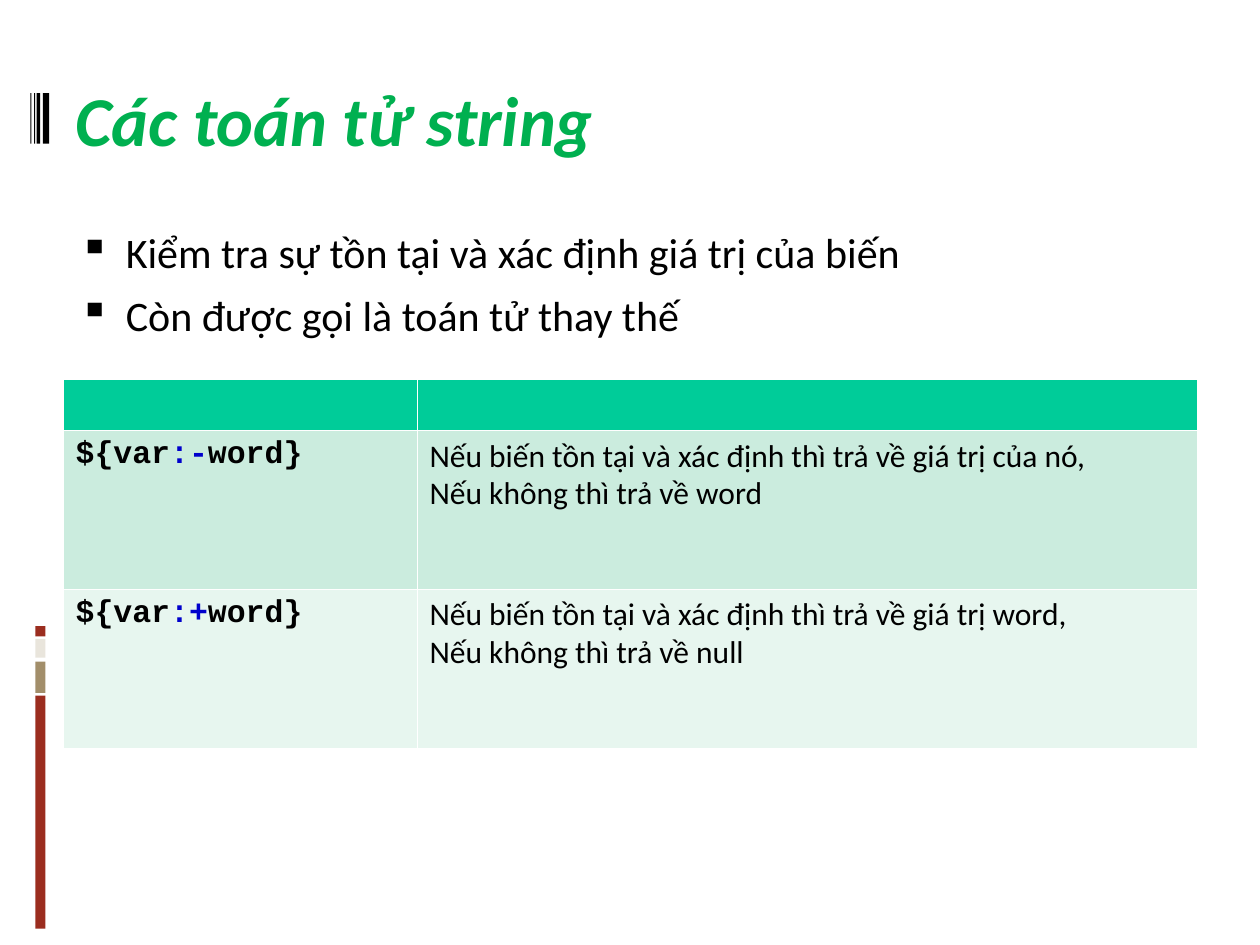
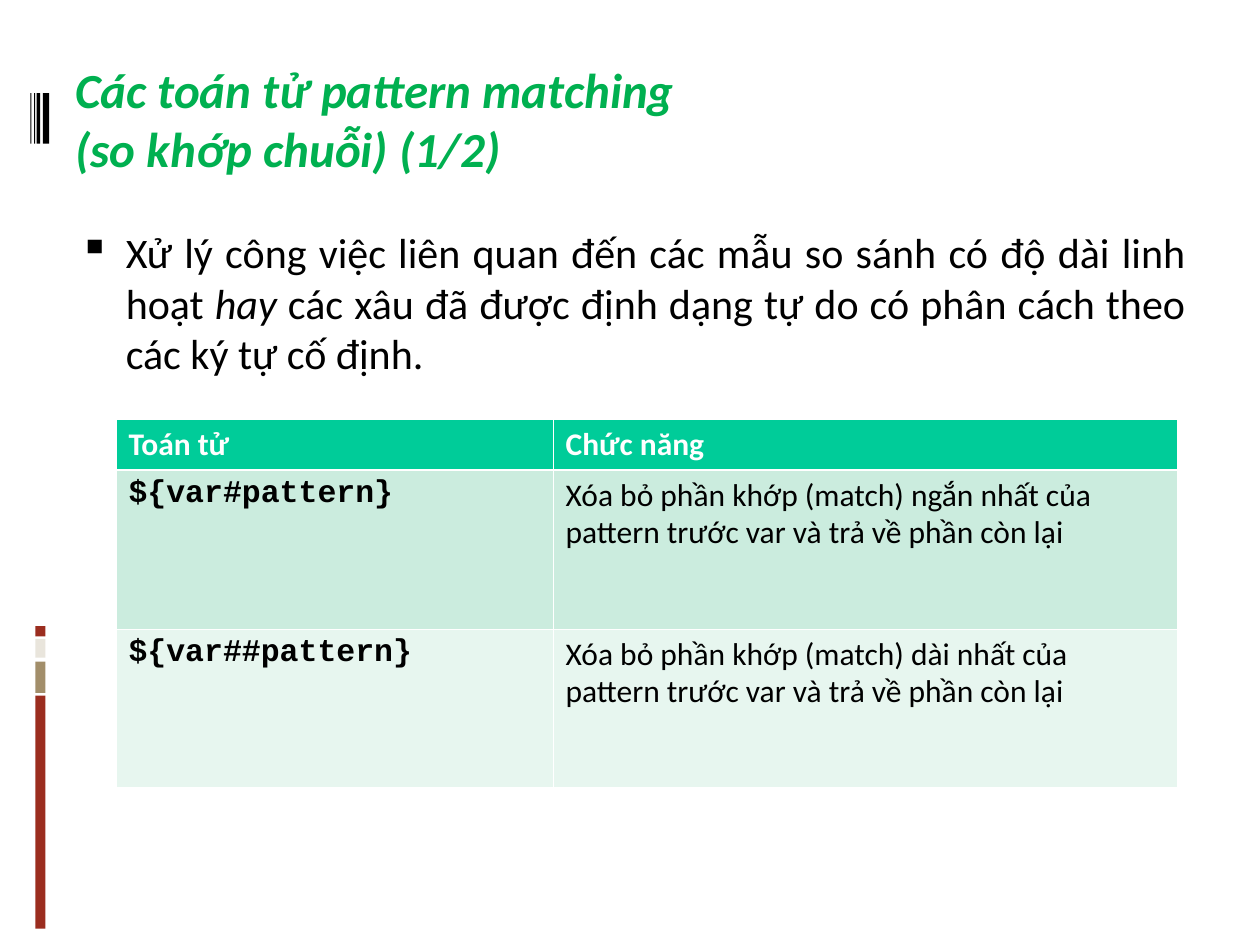
"""Build two slides on shell string and pattern matching operators."""
from dataclasses import dataclass, replace
from typing import Any, NamedTuple

from lxml import etree
from pptx import Presentation
from pptx import util as u
from pptx.dml.color import RGBColor
from pptx.enum import shapes, text
from pptx.oxml.ns import qn

BLACK, WHITE, GREEN, BLUE = "000000", "FFFFFF", "00B050", "0000CC"
RUST, SAND, CREAM = "9B2D1F", "A28E6A", "E9E5DC"
HEADER_FILL, BAND_FILLS = "00CC99", ("CBECDE", "E7F6EF")
HEADER_RULE, THIN_RULE = 0.74, 0.23


@dataclass(frozen=True)
class Style:
    """Character formatting and line spacing."""
    size: int
    color: str = BLACK
    font: str = "Calibri"
    bold: bool = False
    italic: bool = False
    spacing: float = 1.0


BODY = Style(24)
BODY_ITALIC = replace(BODY, italic=True)
HEADING = Style(18, WHITE, bold=True, spacing=0.98)
MEANING = Style(18, spacing=0.98)
CODE = Style(18, font="Courier New", bold=True, spacing=0.94)
OPERATOR = replace(CODE, color=BLUE)


class Span(NamedTuple):
    """A stretch of text in one style."""
    words: str
    style: Style


Line = tuple[Span, ...]


class Bar(NamedTuple):
    """A solid decorative bar at the left margin."""
    left: float
    top: float
    width: float
    height: float
    color: str


MARGIN_BARS = (
    *(Bar(0.28, top, 0.08, height, color) for top, height, color in (
        (5.52, 1.85, RUST), (5.25, 0.25, SAND),
        (5.07, 0.15, CREAM), (4.97, 0.08, RUST))),
    *(Bar(left, 0.74, width, 0.4, BLACK) for left, width in (
        (0.34, 0.05), (0.29, 0.03), (0.27, 0.01), (0.24, 0.01))),
)


@dataclass(frozen=True)
class OperatorTable:
    """Placement and content of a two-column operator table."""
    left: float
    top: float
    columns: tuple[float, float]
    header_height: float
    headings: tuple[str, str]
    entries: tuple[tuple[Line, tuple[str, ...]], ...]
    entry_height: float = 1.26


@dataclass(frozen=True)
class Topic:
    """Everything that differs between the slides."""
    title: tuple[str, ...]
    title_size: int
    bullets: tuple[Line, ...]
    operators: OperatorTable


def rgb(color: str) -> RGBColor:
    """Turn a hex string into a colour."""
    return RGBColor.from_string(color)


def write(frame: Any, lines: tuple[Line, ...]) -> None:
    """Fill a text frame with styled lines."""
    frame.text = "\n".join("" for _ in lines)
    for paragraph, line in zip(frame.paragraphs, lines):
        paragraph.line_spacing = line[0].style.spacing
        for words, style in line:
            run = paragraph.add_run()
            run.text = words
            font = run.font
            font.size, font.name = u.Pt(style.size), style.font
            font.bold, font.italic = style.bold, style.italic
            font.color.rgb = rgb(style.color)


def add_bar(slide: Any, bar: Bar) -> None:
    """Draw one margin bar."""
    place = (u.Inches(side) for side in bar[:4])
    strip = slide.shapes.add_shape(shapes.MSO_SHAPE.RECTANGLE, *place)
    strip.shadow.inherit = False
    strip.fill.solid()
    strip.fill.fore_color.rgb = rgb(bar.color)
    strip.line.fill.background()


def add_text(slide: Any, left: float, top: float, width: float, height: float,
             lines: tuple[Line, ...]) -> Any:
    """Add a wrapped text box and return its frame."""
    place = (u.Inches(side) for side in (left, top, width, height))
    frame = slide.shapes.add_textbox(*place).text_frame
    frame.word_wrap = True
    write(frame, lines)
    return frame


def add_title(slide: Any, topic: Topic) -> None:
    """Add the green italic title."""
    style = Style(topic.title_size, GREEN, bold=True, italic=True)
    lines = tuple((Span(words, style),) for words in topic.title)
    frame = add_text(slide, 0.5, 0.23, 9, 1.42, lines)
    frame.vertical_anchor = text.MSO_ANCHOR.MIDDLE


def add_bullets(slide: Any, bullets: tuple[Line, ...]) -> None:
    """Add the justified body list with square bullets."""
    frame = add_text(slide, 0.47, 1.75, 9.04, 4.95, bullets)
    for paragraph in frame.paragraphs:
        paragraph.alignment = text.PP_ALIGN.JUSTIFY
        paragraph.space_before = u.Pt(7)
        properties = paragraph._p.get_or_add_pPr()
        properties.set("marL", str(u.Inches(0.43)))
        properties.set("indent", str(u.Inches(-0.37)))
        bullet_color = etree.SubElement(properties, qn("a:buClr"))
        etree.SubElement(bullet_color, qn("a:srgbClr"), val=BLACK)
        etree.SubElement(properties, qn("a:buChar"), char="▪")


def format_cell(cell: Any, fill: str, top: float, bottom: float) -> None:
    """Give a cell white borders and a solid fill."""
    properties = cell._tc.get_or_add_tcPr()
    rules = {"L": THIN_RULE, "R": THIN_RULE, "T": top, "B": bottom}
    for side, weight in rules.items():
        rule = etree.SubElement(properties, qn(f"a:ln{side}"), w=str(u.Pt(weight)))
        solid = etree.SubElement(rule, qn("a:solidFill"))
        etree.SubElement(solid, qn("a:srgbClr"), val=WHITE)
    cell.fill.solid()
    cell.fill.fore_color.rgb = rgb(fill)


def add_operators(slide: Any, operators: OperatorTable) -> None:
    """Add the operator table with its header and banded rows."""
    heights = [operators.header_height] + [operators.entry_height] * len(operators.entries)
    grid = slide.shapes.add_table(
        len(heights), len(operators.columns),
        u.Inches(operators.left), u.Inches(operators.top),
        u.Inches(sum(operators.columns)), u.Inches(sum(heights))).table
    for column, width in zip(grid.columns, operators.columns):
        column.width = u.Inches(width)
    for row, height in zip(grid.rows, heights):
        row.height = u.Inches(height)
    for cell, heading in zip(grid.rows[0].cells, operators.headings):
        if heading:
            write(cell.text_frame, ((Span(heading, HEADING),),))
        format_cell(cell, HEADER_FILL, THIN_RULE, HEADER_RULE)
    for index, (code, meaning) in enumerate(operators.entries):
        code_cell, meaning_cell = grid.rows[index + 1].cells
        write(code_cell.text_frame, (code,))
        write(meaning_cell.text_frame,
              tuple((Span(words, MEANING),) for words in meaning))
        for cell in (code_cell, meaning_cell):
            format_cell(cell, BAND_FILLS[index % 2],
                        THIN_RULE if index else HEADER_RULE, THIN_RULE)


def substitution(operator: str) -> Line:
    """Spell a substitution with its operator highlighted."""
    return Span("${var", CODE), Span(operator, OPERATOR), Span("word}", CODE)


def removal(operator: str, length: str) -> tuple[Line, tuple[str, ...]]:
    """Describe an operator that strips a leading match."""
    return ((Span(f"${{var{operator}pattern}}", CODE),),
            (f"Xóa bỏ phần khớp (match) {length} nhất của "
             "pattern trước var và trả về phần còn lại",))


TOPICS = (
    Topic(
        ("Các toán tử string",), 40,
        ((Span("Kiểm tra sự tồn tại và xác định giá trị của biến", BODY),),
         (Span("Còn được gọi là toán tử thay thế", BODY),)),
        OperatorTable(0.5, 3.01, (2.81, 6.19), 0.41, ("", ""), tuple(
            (substitution(operator),
             (f"Nếu biến tồn tại và xác định thì trả về giá trị {found},",
              f"Nếu không thì trả về {missing}"))
            for operator, found, missing in (
                (":-", "của nó", "word"), (":+", "word", "null"))))),
    Topic(
        ("Các toán tử pattern matching", "(so khớp chuỗi) (1/2)"), 28,
        ((Span("Xử lý công việc liên quan đến các mẫu so sánh có độ dài linh hoạt ", BODY),
          Span("hay", BODY_ITALIC),
          Span(" các xâu đã được định dạng tự do có phân cách theo "
               "các ký tự cố định.", BODY)),),
        OperatorTable(0.92, 3.33, (3.47, 4.95), 0.4, ("Toán tử", "Chức năng"),
                      (removal("#", "ngắn"), removal("##", "dài")))),
)


def build() -> None:
    """Build and save the presentation."""
    deck = Presentation()
    deck.slide_width, deck.slide_height = u.Inches(10), u.Inches(7.5)
    for topic in TOPICS:
        slide = deck.slides.add_slide(deck.slide_layouts[6])
        for bar in MARGIN_BARS:
            add_bar(slide, bar)
        add_title(slide, topic)
        add_bullets(slide, topic.bullets)
        add_operators(slide, topic.operators)
    deck.save("out.pptx")


build()
